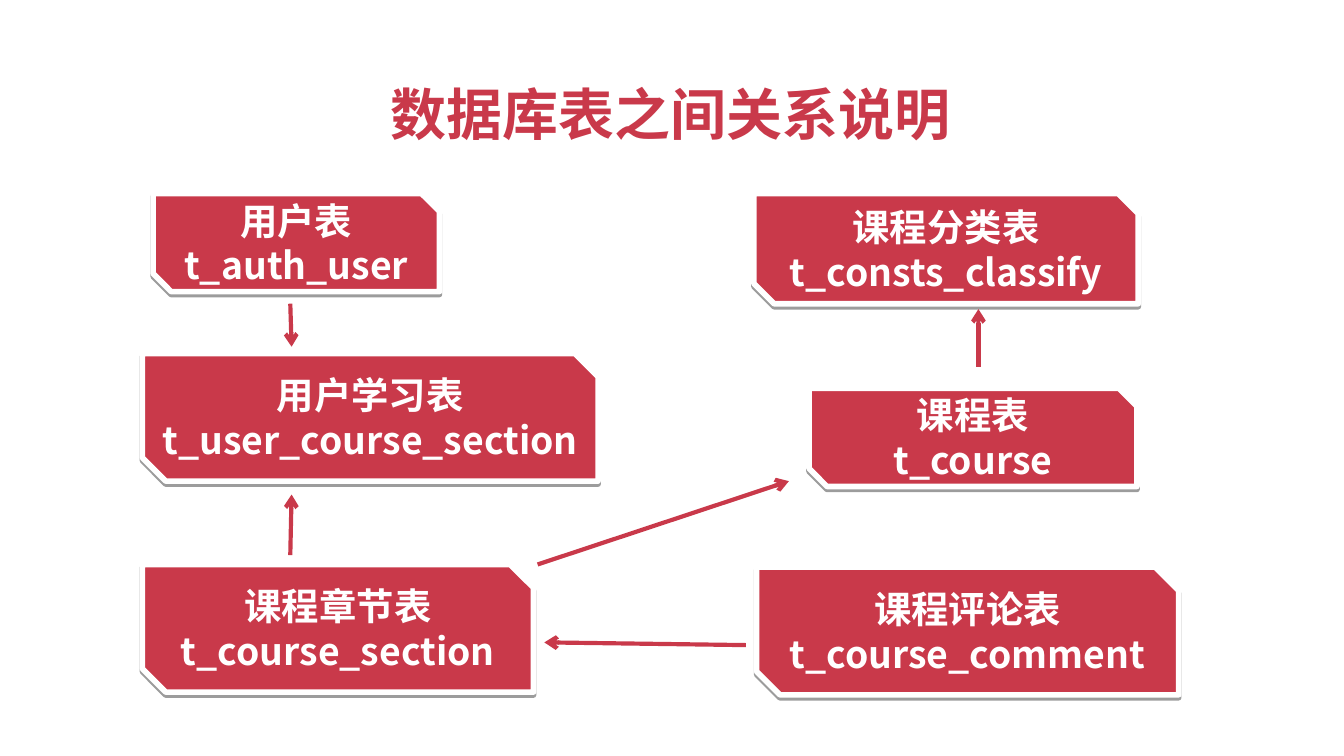
import pptx
import pptx.util
import pptx.dml.color
import pptx.enum.shapes
import pptx.enum.text
import pptx.oxml.ns
from lxml import etree
from pptx.util import Inches

FONT = "Noto Sans CJK SC"
RED = "C9394A"
WHITE = "FFFFFF"
CUT = 0.183

TABLES = [
    ("课程表", "t_course", (6.02, 2.89, 2.44, 0.73)),
    ("课程章节表", "t_course_section", (1.06, 4.2, 2.91, 0.95)),
    ("课程评论表", "t_course_comment", (5.63, 4.22, 3.14, 0.95)),
    ("用户表", "t_auth_user", (1.14, 1.44, 2.13, 0.73)),
    ("用户学习表", "t_user_course_section", (1.06, 2.63, 3.39, 0.95)),
    ("课程分类表", "t_consts_classify", (5.61, 1.44, 2.86, 0.82)),
]
RELATIONS = [
    ((4, 4.2), (5.87, 3.58)),
    ((5.55, 4.8), (4.05, 4.78)),
    ((2.16, 2.26), (2.17, 2.58)),
    ((2.16, 4.13), (2.17, 3.68)),
    ((7.28, 2.73), (7.28, 2.3)),
]


def rgb(color):
    return pptx.dml.color.RGBColor.from_string(color)


def add_child(parent, tag, **attrs):
    child = etree.SubElement(parent, pptx.oxml.ns.qn(tag))
    for name, value in attrs.items():
        child.set(name, value)
    return child


def write_lines(tf, lines, size, color, align):
    for i, text in enumerate(lines):
        p = tf.paragraphs[0] if i == 0 else tf.add_paragraph()
        p.alignment = align
        r = p.add_run()
        r.text = text
        style = {"name": FONT, "size": pptx.util.Pt(size), "bold": True}
        for name, value in style.items():
            setattr(r.font, name, value)
        r.font.color.rgb = rgb(color)
        add_child(r.font._element, "a:ea", typeface=FONT)


def add_title(s, text, box):
    tf = s.shapes.add_textbox(*map(Inches, box)).text_frame
    tf.word_wrap = False
    tf.auto_size = pptx.enum.text.MSO_AUTO_SIZE.SHAPE_TO_FIT_TEXT
    write_lines(tf, [text], 30, RED, pptx.enum.text.PP_ALIGN.LEFT)


def add_table_box(s, title, table_name, box):
    x, y, w, h = map(Inches, box)
    cut = round(h * CUT)
    builder = s.shapes.build_freeform(x, y)
    builder.add_line_segments([
        (x + w - cut, y), (x + w, y + cut), (x + w, y + h),
        (x + cut, y + h), (x, y + h - cut),
    ])
    sp = builder.convert_to_shape()
    sp.fill.solid()
    sp.fill.fore_color.rgb = rgb(RED)
    sp.line.color.rgb = rgb(WHITE)
    sp.line.width = pptx.util.Pt(3)
    sp.shadow.inherit = False
    effects = sp._element.spPr.find(pptx.oxml.ns.qn("a:effectLst"))
    shadow = add_child(effects, "a:outerShdw", blurRad="0", dist="20000",
                       dir="5400000", rotWithShape="0")
    black = add_child(shadow, "a:srgbClr", val="000000")
    add_child(black, "a:alpha", val="38000")
    tf = sp.text_frame
    tf.word_wrap = True
    tf.vertical_anchor = pptx.enum.text.MSO_ANCHOR.MIDDLE
    write_lines(tf, [title, table_name], 20, WHITE, pptx.enum.text.PP_ALIGN.CENTER)


def add_relation(s, start, end):
    line = s.shapes.add_connector(
        pptx.enum.shapes.MSO_CONNECTOR.STRAIGHT, *map(Inches, start + end))
    line.line.color.rgb = rgb(RED)
    line.line.width = pptx.util.Pt(2.25)
    add_child(line.line._get_or_add_ln(), "a:tailEnd", type="arrow")
    add_child(line._element.spPr, "a:effectLst")


def add_relations_slide(prs):
    s = prs.slides.add_slide(prs.slide_layouts[6])
    add_title(s, "数据库表之间关系说明", (2.81, 0.54, 4.4, 0.6))
    for title, table_name, box in TABLES:
        add_table_box(s, title, table_name, box)
    for start, end in RELATIONS:
        add_relation(s, start, end)


def main():
    prs = pptx.Presentation()
    prs.slide_width = Inches(10)
    prs.slide_height = prs.slide_width * 9 // 16
    add_relations_slide(prs)
    prs.save("out.pptx")


if __name__ == "__main__":
    main()
